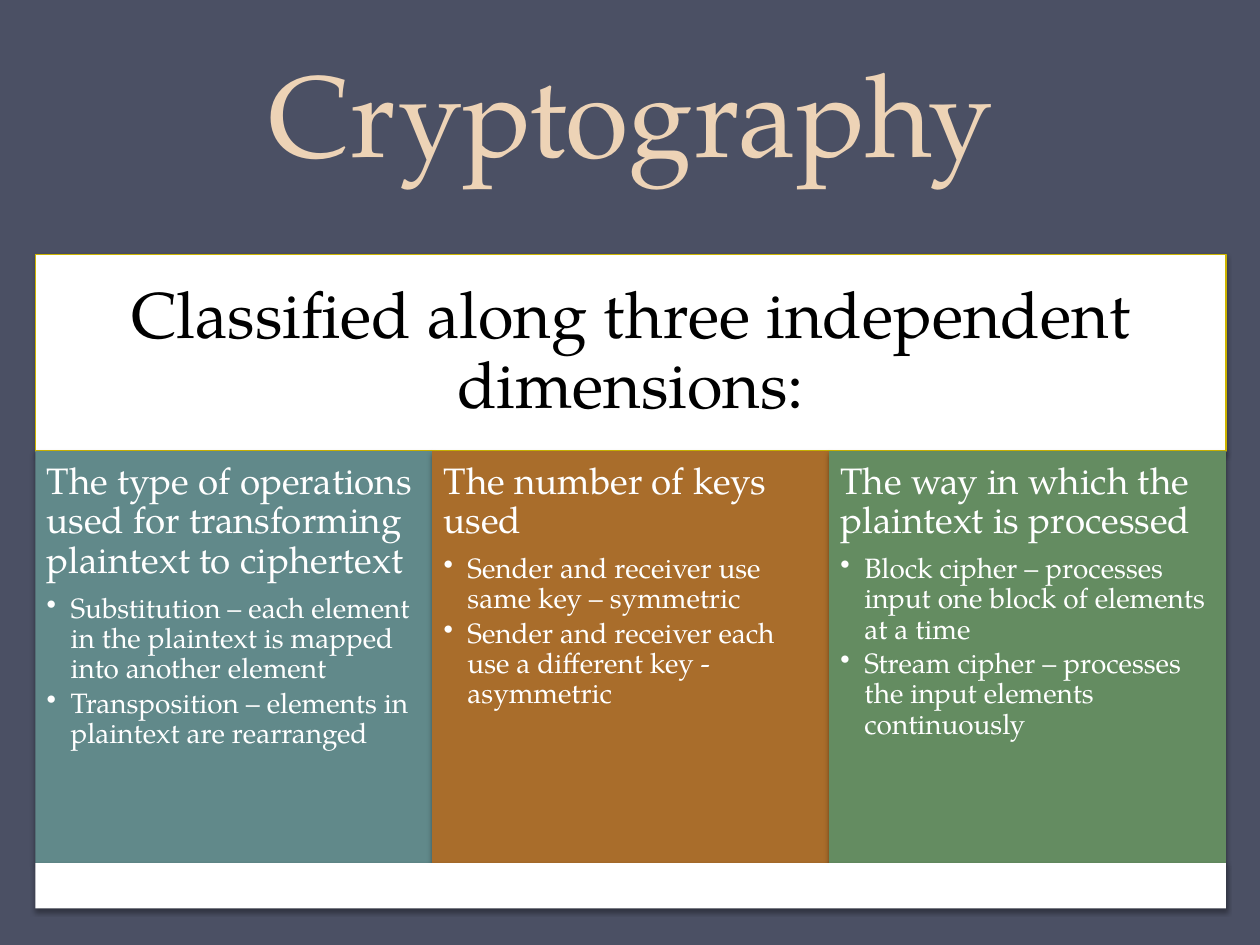
"""Build the Cryptography slide: a banner over three columns and a footer bar."""
from dataclasses import dataclass
from lxml.etree import SubElement as Sub
from pptx import Presentation
from pptx.dml.color import RGBColor as Rgb
from pptx.enum.shapes import MSO_SHAPE as Kind
from pptx.enum.text import MSO_ANCHOR as Anchor, MSO_AUTO_SIZE as Fit, PP_ALIGN as Align
from pptx.oxml.ns import qn
from pptx.util import Inches, Pt

TITLE = "Cryptography"
BANNER = "Classified along three independent dimensions:"
COLUMNS = [
    ("61898A", "The type of operations used for transforming plaintext to ciphertext", [
        "Substitution – each element in the plaintext is mapped into another element",
        "Transposition – elements in plaintext are rearranged"]),
    ("A96D2B", "The number of keys used", [
        "Sender and receiver use same key – symmetric",
        "Sender and receiver each use a different key - asymmetric"]),
    ("648C61", "The way in which the plaintext is processed", [
        "Block cipher – processes input one block of elements at a time",
        "Stream cipher – processes the input elements continuously"]),
]


@dataclass(frozen=True)
class Theme:
    """Colours, font and type sizes."""
    font: str = "TeX Gyre Pagella"
    back: str = "4B5064"
    title: str = "EDD3B6"
    light: str = "FFFFFF"
    dark: str = "000000"
    edge: str = "CCB400"
    huge: int = 66
    large: int = 37
    head: int = 21
    item: int = 16


T = Theme()
LEFT, WIDE = 0.28, 9.45
TOP, MID, LOW, END = 2.02, 3.58, 6.85, 7.21


def write(frame, text, size, color, align=Align.LEFT, line=0.9, after=0, bullet=False):
    """Add one formatted paragraph to a text frame."""
    para = frame.paragraphs[0]
    if para.runs:
        para = frame.add_paragraph()
    if bullet:
        props = para._p.get_or_add_pPr()
        props.set("marL", str(Inches(0.19)))
        props.set("indent", str(-Inches(0.19)))
        Sub(props, qn("a:buChar"), char="•")
    para.alignment, para.line_spacing = align, line
    para.space_before, para.space_after = Pt(0), Pt(size * after)
    run = para.add_run()
    run.text = text
    run.font.name, run.font.size = T.font, Pt(size)
    run.font.color.rgb = Rgb.from_string(color)


def panel(slide, left, top, wide, high, fill, edge=None, inset=0.09, anchor=Anchor.TOP):
    """Draw a filled box with a soft shadow and return its text frame."""
    box = slide.shapes.add_shape(Kind.RECTANGLE, *map(Inches, (left, top, wide, high)))
    box.fill.solid()
    box.fill.fore_color.rgb = Rgb.from_string(fill)
    if edge:
        box.line.color.rgb, box.line.width = Rgb.from_string(edge), Pt(0.75)
    else:
        box.line.fill.background()
    box.shadow.inherit = False
    glow = Sub(box._element.spPr.find(qn("a:effectLst")), qn("a:outerShdw"),
               blurRad=str(Pt(3.1)), dist=str(Pt(1.8)), dir="5400000", rotWithShape="0")
    Sub(Sub(glow, qn("a:srgbClr"), val=T.dark), qn("a:alpha"), val="35000")
    frame = box.text_frame
    frame.word_wrap, frame.vertical_anchor = True, anchor
    frame.margin_left = frame.margin_right = Inches(inset)
    frame.margin_top = frame.margin_bottom = Inches(inset)
    return frame


def main():
    """Place all parts and save the deck."""
    deck = Presentation()
    deck.slide_width, deck.slide_height = Inches(10), Inches(7.5)
    slide = deck.slides.add_slide(deck.slide_layouts[5])
    slide.background.fill.solid()
    slide.background.fill.fore_color.rgb = Rgb.from_string(T.back)

    title = slide.shapes.title
    title.left, title.top, title.width, title.height = map(Inches, (0.51, -0.27, 9, 1.75))
    frame = title.text_frame
    frame.auto_size, frame.vertical_anchor = Fit.NONE, Anchor.BOTTOM
    write(frame, TITLE, T.huge, T.title, align=Align.CENTER, line=Pt(58))

    frame = panel(slide, LEFT, TOP, WIDE, MID - TOP, T.light, edge=T.edge,
                  inset=0.15, anchor=Anchor.MIDDLE)
    write(frame, BANNER, T.large, T.dark, align=Align.CENTER, after=0.35)

    step = WIDE / len(COLUMNS)
    for i, (fill, head, items) in enumerate(COLUMNS):
        frame = panel(slide, LEFT + i * step, MID, step, LOW - MID, fill)
        write(frame, head, T.head, T.light, after=0.35)
        for item in items:
            write(frame, item, T.item, T.light, after=0.15, bullet=True)

    panel(slide, LEFT, LOW, WIDE, END - LOW, T.light)
    deck.save("out.pptx")


if __name__ == "__main__":
    main()
